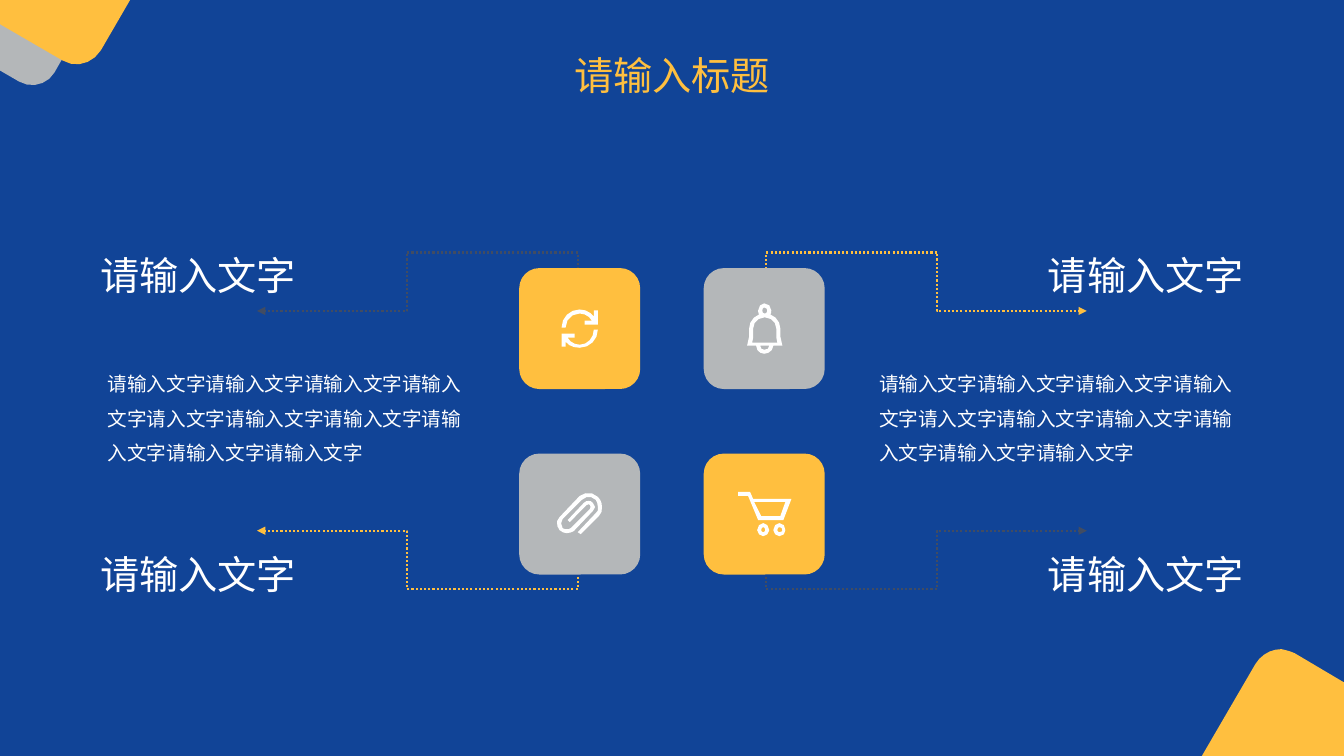
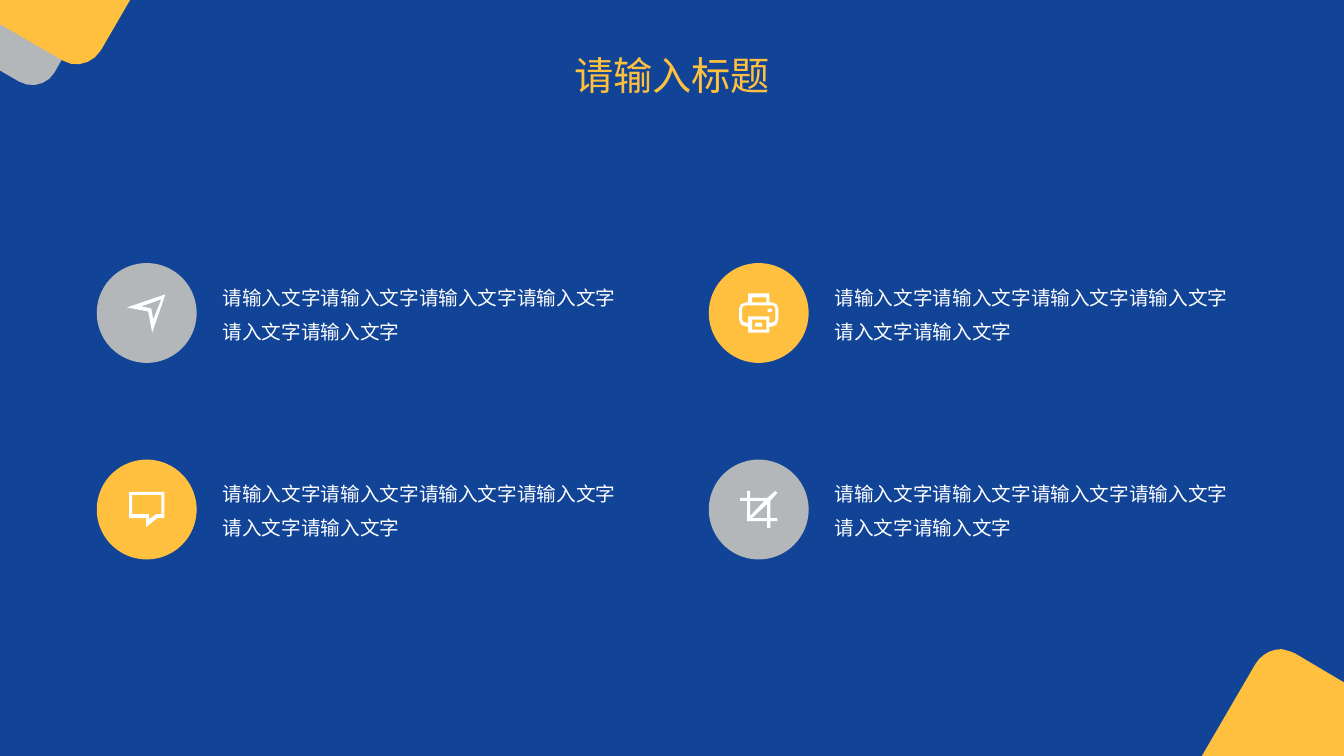
import math
from dataclasses import dataclass

from pptx import Presentation
from pptx import util as u
from pptx.dml.color import RGBColor
from pptx.enum import dml, shapes, text
from pptx.oxml import ns, xmlchemy


@dataclass(frozen=True)
class Theme:
    blue: str = "114497"
    amber: str = "FFBF3F"
    grey: str = "B4B7B9"
    slate: str = "414C62"
    white: str = "FFFFFF"
    font: str = "Noto Sans CJK SC"
    title_size: int = 28
    heading_size: int = 28
    body_size: int = 14


# Outlines in hundredths of an inch: M starts a contour, L lines, C curves
CORNER_GREY = "M 0 0 L 95 0 54 72 C 47 84 31 88 19 81 L 0 70"
CORNER_AMBER = "M 0 0 L 129 0 100 50 C 92 63 75 68 62 60 L 0 24"
CORNER_BOTTOM = ("M 79 0 C 83 1 88 2 92 4 L 141 33 141 106 0 106 53 15 "
                 "C 59 5 69 0 79 0")
REFRESH = ("M 18 35 C 13 35 8 32 6 28 L 13 28 13 24 0 24 0 37 4 37 4 32 "
           "C 7 36 12 38 18 38 28 38 36 30 36 20 L 32 20 C 32 28 26 35 18 35 "
           "M 32 1 L 32 7 C 29 3 24 0 18 0 8 0 0 8 0 18 L 4 18 "
           "C 4 10 10 4 18 4 23 4 28 7 30 11 L 23 11 23 15 36 15 36 1")
CLIP = ("M 45 14 C 45 10 44 7 41 4 36 -1 28 -1 23 3 L 3 24 "
        "C -1 27 0 34 3 37 5 39 8 40 10 40 13 40 15 39 17 38 L 36 18 "
        "C 39 16 39 12 36 10 35 8 33 8 32 8 30 8 29 8 27 10 "
        "L 11 27 13 29 30 12 C 31 11 33 11 33 12 34 13 34 15 33 16 L 14 35 "
        "C 13 36 12 36 10 36 9 36 7 36 6 35 4 32 4 28 6 26 L 25 7 "
        "C 29 3 35 3 39 7 40 9 41 11 41 14 42 16 41 19 39 20 "
        "L 21 39 24 41 42 23 C 44 21 46 17 45 14")
BELL = ("M 5 39 L 6 34 6 25 C 6 19 11 14 17 14 L 18 14 C 24 14 29 19 29 25 "
        "L 29 34 30 39 M 17 46 C 15 46 13 45 13 42 L 22 42 C 22 45 20 46 17 46 "
        "M 17 4 C 19 4 20 6 20 7 20 9 19 10 18 10 L 17 10 "
        "C 16 10 15 9 15 7 15 6 16 4 17 4 "
        "M 33 33 L 33 25 C 33 19 29 13 23 11 24 10 24 9 24 7 24 3 21 0 17 0 "
        "14 0 11 3 11 7 11 9 11 10 12 11 6 13 2 19 2 25 L 2 33 0 42 9 42 "
        "C 9 47 13 50 17 50 21 50 26 47 26 42 L 35 42")
CART = ("M 47 10 L 42 24 23 24 16 10 "
        "M 45 28 L 53 7 15 7 12 0 0 0 0 4 10 4 20 28 "
        "M 41 40 C 40 40 39 39 39 38 39 36 40 35 41 35 43 35 44 36 44 38 "
        "44 39 43 40 41 40 M 41 31 C 38 31 35 34 35 38 35 41 38 44 41 44 "
        "45 44 47 41 47 38 47 34 45 31 41 31 "
        "M 25 40 C 24 40 23 39 23 38 23 36 24 35 25 35 26 35 27 36 27 38 "
        "27 39 26 40 25 40 M 25 31 C 22 31 19 34 19 38 19 41 22 44 25 44 "
        "28 44 31 41 31 38 31 34 28 31 25 31")
SPEECH = ("M 32 22 L 27 22 20 27 20 22 3 22 3 3 32 3 "
          "M 0 0 L 0 26 17 26 17 35 28 26 35 26 35 0")
SEND = "M 24 14 L 14 12 34 5 26 25 M 0 13 L 21 17 25 38 38 0"
CROP = ("M 27 27 L 12 27 27 13 M 10 10 L 24 10 10 25 "
        "M 30 10 L 37 2 35 0 27 7 10 7 10 0 7 0 7 7 0 7 0 10 7 10 7 30 27 30 "
        "27 37 30 37 30 30 37 30 37 27 30 27")
PRINTER = ("M 31 15 C 29 15 28 16 28 17 28 18 29 19 31 19 32 19 33 18 33 17 "
           "33 16 32 15 31 15 M 36 26 C 36 28 34 29 33 29 "
           "L 30 29 30 23 9 23 9 29 7 29 C 5 29 3 28 3 26 L 3 15 "
           "C 3 13 5 12 7 12 L 33 12 C 34 12 36 13 36 15 "
           "M 27 36 L 13 36 13 26 27 26 M 13 4 L 27 4 27 9 13 9 "
           "M 33 9 L 30 9 30 0 9 0 9 9 7 9 C 3 9 0 12 0 15 L 0 26 "
           "C 0 30 3 33 7 33 L 9 33 9 39 30 39 30 33 33 33 "
           "C 36 33 39 30 39 26 L 39 15 C 39 12 36 9 33 9 "
           "M 23 29 L 16 29 16 33 23 33")


def bezier(start, nums):
    """Points along a cubic curve, without its start; more on longer curves."""
    steps = 2 + int(math.dist(start, nums[4:]) // 10)
    for i in range(1, steps + 1):
        t = i / steps
        weights = ((1 - t) ** 3, 3 * t * (1 - t) ** 2, 3 * t * t * (1 - t), t ** 3)
        yield tuple(sum(w * v for w, v in zip(weights, (start[k], *nums[k::2])))
                    for k in (0, 1))


def contours(outline):
    """Turn an outline into lists of points, one list per contour."""
    result, cmd, nums = [], "", []
    for token in outline.split():
        if token.isalpha():
            cmd = token
            if cmd == "M":
                result.append([])
            continue
        nums.append(float(token))
        if len(nums) == (6 if cmd == "C" else 2):
            pts = result[-1]
            pts.extend(bezier(pts[-1], nums) if cmd == "C" else [tuple(nums)])
            nums = []
    return result


class Deck:
    def __init__(self, theme):
        self.theme = theme
        self.prs = Presentation()
        self.prs.slide_width = u.Inches(13.33)
        self.prs.slide_height = u.Inches(7.5)
        self.s = None

    def new_slide(self):
        """Add a slide with the shared background and corners."""
        th = self.theme
        self.s = self.prs.slides.add_slide(self.prs.slide_layouts[6])
        fill = self.s.background.fill
        fill.solid()
        fill.fore_color.rgb = RGBColor.from_string(th.blue)
        self.outline(CORNER_GREY, 0, 0, th.grey)
        self.outline(CORNER_AMBER, 0, 0, th.amber)
        self.outline(CORNER_BOTTOM, 11.92, 6.44, th.amber)

    def title(self, words):
        self.text(words, 4.57, 0.32, 4.19, 0.66, self.theme.title_size,
                  self.theme.amber, centred=True, spacing=1.3)

    def paint(self, sp, colour):
        sp.shadow.inherit = False
        sp.fill.solid()
        sp.fill.fore_color.rgb = RGBColor.from_string(colour)
        sp.line.fill.background()

    def outline(self, outline, x, y, colour):
        builder = None
        for pts in contours(outline):
            first, *rest = [(u.Inches(px / 100), u.Inches(py / 100)) for px, py in pts]
            if rest[-1] == first:
                rest.pop()
            if builder is None:
                builder = self.s.shapes.build_freeform(*first)
            else:
                builder.move_to(*first)
            builder.add_line_segments(rest, close=True)
        self.paint(builder.convert_to_shape(u.Inches(x), u.Inches(y)), colour)

    def shape(self, kind, x, y, size, colour):
        sp = self.s.shapes.add_shape(kind, u.Inches(x), u.Inches(y),
                                     u.Inches(size), u.Inches(size))
        self.paint(sp, colour)

    def text(self, words, x, y, w, h, size, colour,
             centred=False, spacing=None, wrap=True):
        sp = self.s.shapes.add_textbox(u.Inches(x), u.Inches(y),
                                       u.Inches(w), u.Inches(h))
        tf = sp.text_frame
        tf.word_wrap = wrap
        tf.auto_size = text.MSO_AUTO_SIZE.SHAPE_TO_FIT_TEXT
        p = tf.paragraphs[0]
        p.text = words
        p.alignment = text.PP_ALIGN.CENTER if centred else text.PP_ALIGN.LEFT
        if spacing:
            p.line_spacing = spacing
        p.font.size = u.Pt(size)
        p.font.color.rgb = RGBColor.from_string(colour)
        p.font.name = self.theme.font
        # East Asian text takes its own typeface
        props = p._p.pPr.find(ns.qn("a:defRPr"))
        ea = xmlchemy.OxmlElement("a:ea")
        ea.set("typeface", self.theme.font)
        props.append(ea)

    def heading(self, words, x, y):
        self.text(words, x, y, 2.17, 0.57, self.theme.heading_size,
                  self.theme.white, centred=True, wrap=False)

    def body(self, words, x, y, w, h):
        self.text(words, x, y, w, h, self.theme.body_size,
                  self.theme.white, spacing=1.45)

    def elbow_arrow(self, cx, cy, left, top, colour):
        """Dotted elbow about a centre, on a quarter-turned frame."""
        dx = 0.165 if left else -0.165
        dy = 1.59 if top else -1.59
        line = self.s.shapes.add_connector(
            shapes.MSO_CONNECTOR.ELBOW, u.Inches(cx + dx), u.Inches(cy + dy),
            u.Inches(cx - dx), u.Inches(cy - dy))
        line.line.color.rgb = RGBColor.from_string(colour)
        line.line.width = u.Pt(1.5)
        line.line.dash_style = dml.MSO_LINE.ROUND_DOT
        # Quarter turn, bend positions, arrowhead, no shadow
        props = line._element.spPr
        turn = 270 if left == top else 90
        props.find(ns.qn("a:xfrm")).set("rot", str(turn * 60000))
        geom = props.find(ns.qn("a:prstGeom"))
        geom.set("prst", "bentConnector4")
        guides = geom.find(ns.qn("a:avLst"))
        if guides is None:
            guides = xmlchemy.OxmlElement("a:avLst")
            geom.append(guides)
        for name, value in (("adj1", -75700), ("adj2", 53300)):
            guide = xmlchemy.OxmlElement("a:gd")
            guide.set("name", name)
            guide.set("fmla", f"val {value}")
            guides.append(guide)
        tail = xmlchemy.OxmlElement("a:tailEnd")
        tail.set("type", "triangle")
        props.find(ns.qn("a:ln")).append(tail)
        props.append(xmlchemy.OxmlElement("a:effectLst"))


# Column and row of each item, column by column
GRID = [(col, row) for col in (0, 1) for row in (0, 1)]


def tiles_slide(deck):
    th = deck.theme
    deck.new_slide()

    # Arrows
    for col, row in GRID:
        deck.elbow_arrow(9.19 if col else 4.14, 5.43 if row else 2.92,
                         col == 0, row == 0, th.slate if col == row else th.amber)

    # Side paragraphs and headings
    words = "请输入文字" * 4 + "请入文字" + "请输入文字" * 5
    for x, w in ((0.97, 3.72), (8.62, 3.74)):
        deck.body(words, x, 3.54, w, 1.09)
    for col, row in GRID:
        deck.heading("请输入文字", 0.88 + 9.4 * col, 2.44 + 2.97 * row)

    # Tiles and icons
    for col, row in GRID:
        deck.shape(shapes.MSO_SHAPE.ROUNDED_RECTANGLE, 5.15 + 1.83 * col,
                   2.66 + 1.84 * row, 1.2, th.amber if col == row else th.grey)
    for icon, x, y in ((REFRESH, 5.57, 3.07), (CLIP, 5.52, 4.89),
                       (BELL, 7.41, 3.01), (CART, 7.32, 4.88)):
        deck.outline(icon, x, y, th.white)
    deck.title("请输入标题")


def circles_slide(deck):
    th = deck.theme
    deck.new_slide()

    # Circles, each with its paragraph
    words = "请输入文字" * 4 + "请入文字" + "请输入文字"
    for col, row in GRID:
        x, y = 0.96 + 6.07 * col, 2.61 + 1.95 * row
        deck.shape(shapes.MSO_SHAPE.OVAL, x, y, 0.99,
                   th.grey if row == col else th.amber)
        deck.body(words, x + 1.15, y + 0.07, 4.19, 0.75)

    # Icons
    for icon, x, y in ((SPEECH, 1.28, 4.88), (SEND, 1.26, 2.92),
                       (CROP, 7.34, 4.87), (PRINTER, 7.33, 2.91)):
        deck.outline(icon, x, y, th.white)
    deck.title("请输入标题")


def main():
    deck = Deck(Theme())
    tiles_slide(deck)
    circles_slide(deck)
    deck.prs.save("out.pptx")


if __name__ == "__main__":
    main()
